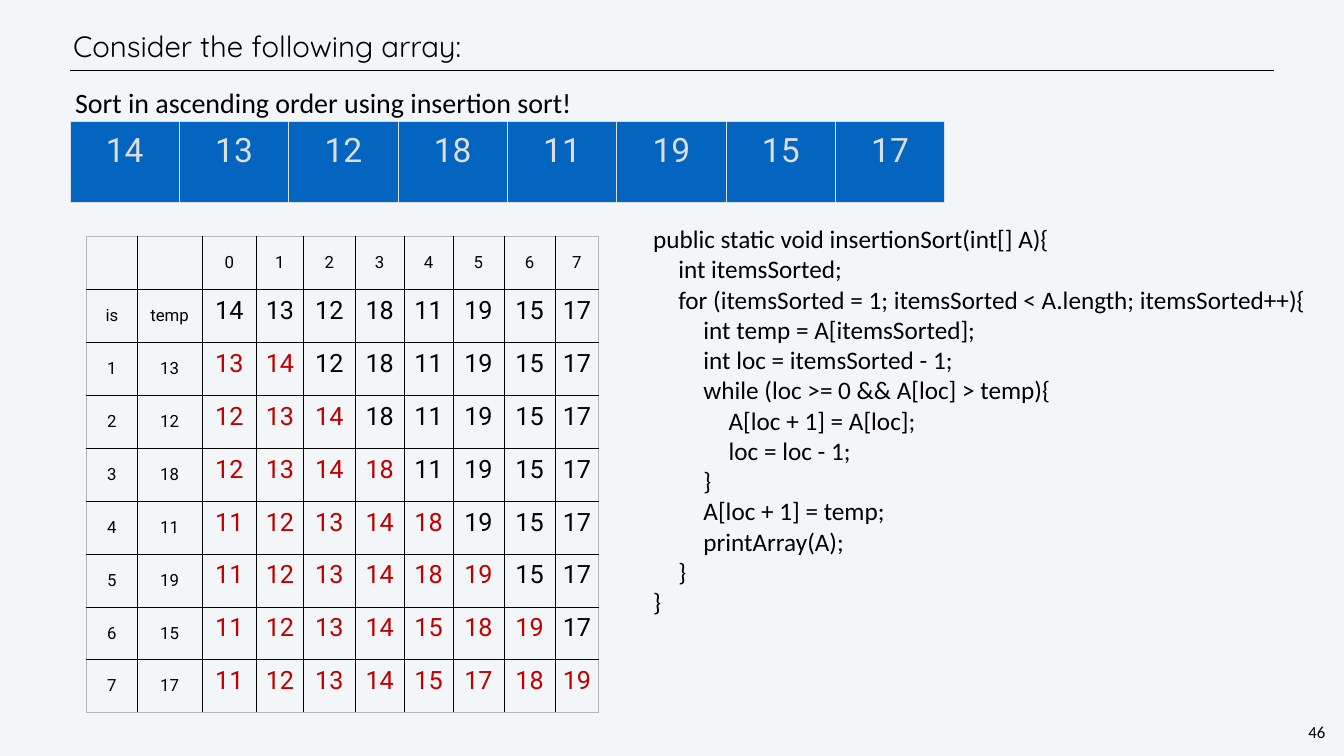
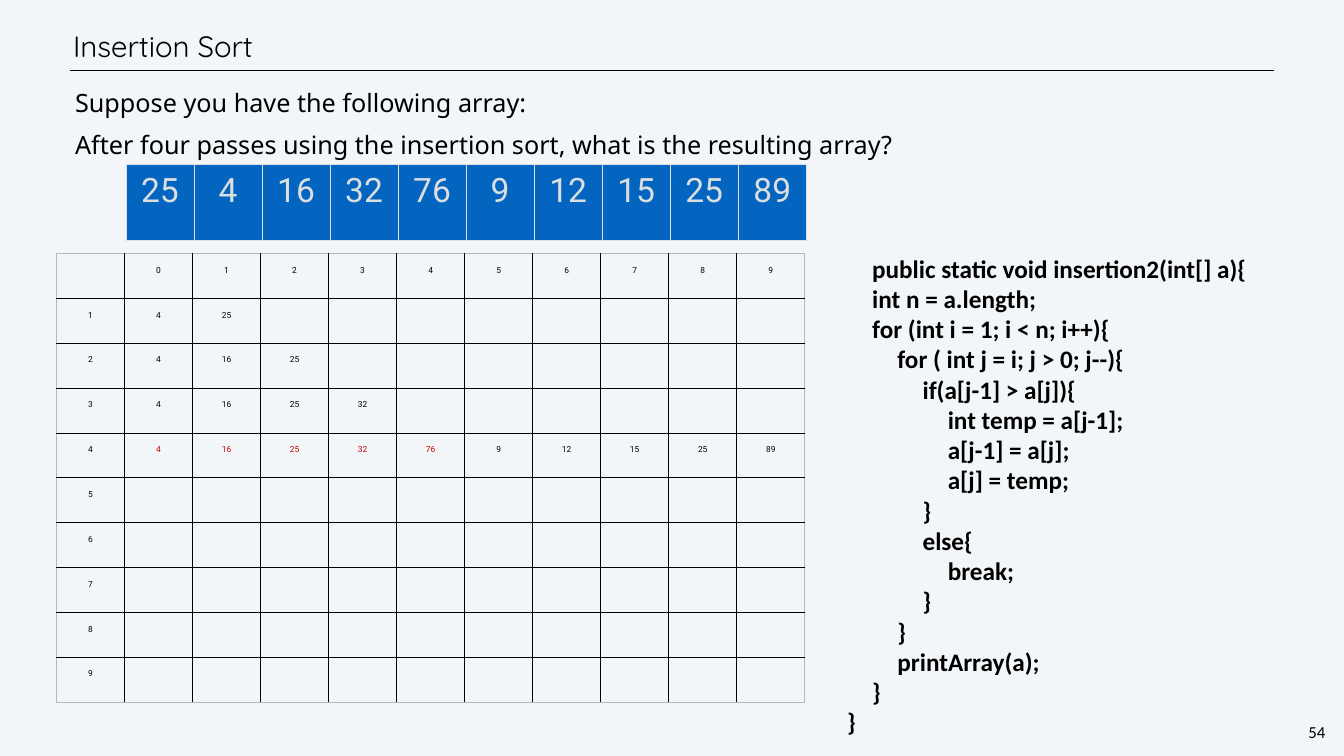
import pptx
import pptx.util
from lxml import etree
from pptx.dml.color import RGBColor
from pptx.enum.shapes import MSO_CONNECTOR
from pptx.enum.text import MSO_ANCHOR, PP_ALIGN
from pptx.oxml.ns import qn

PX = 9144  # 100 px to the inch
SLIDE_WIDTH, SLIDE_HEIGHT = 2667, 1500

BLACK = RGBColor(0x00, 0x00, 0x00)
RED = RGBColor(0xC0, 0x00, 0x00)
BLUE = RGBColor(0x03, 0x65, 0xC0)
PALE = RGBColor(0xDC, 0xDE, 0xE0)
FRAME_GRAY = RGBColor(0xB4, 0xB8, 0xBA)
BACKGROUND = RGBColor(0xF3, 0xF6, 0xF9)

TASK = "Sort in ascending order using insertion sort!"
QUESTION = [
    "Suppose you have the following array:",
    "After four passes using the insertion sort, what is the resulting array?",
]

TASK_ARRAY = [14, 13, 12, 18, 11, 19, 15, 17]
QUESTION_ARRAY = [25, 4, 16, 32, 76, 9, 12, 15, 25, 89]

# Each row: labels, values shown red, values shown black
TASK_PASSES = [
    (["", "", *range(8)], [], []),
    (["is", "temp"], [], TASK_ARRAY),
    ([1, 13], [13, 14], [12, 18, 11, 19, 15, 17]),
    ([2, 12], [12, 13, 14], [18, 11, 19, 15, 17]),
    ([3, 18], [12, 13, 14, 18], [11, 19, 15, 17]),
    ([4, 11], [11, 12, 13, 14, 18], [19, 15, 17]),
    ([5, 19], [11, 12, 13, 14, 18, 19], [15, 17]),
    ([6, 15], [11, 12, 13, 14, 15, 18, 19], [17]),
    ([7, 17], [11, 12, 13, 14, 15, 17, 18, 19], []),
]
TASK_COLUMNS = [100, 129, 108, 93, 103, 97, 97, 101, 102, 86]

QUESTION_PASSES = [
    (["", *range(10)], [], []),
    ([1], [], [4, 25]),
    ([2], [], [4, 16, 25]),
    ([3], [], [4, 16, 25, 32]),
    ([4], [4, 16, 25, 32, 76], [9, 12, 15, 25, 89]),
    *[([number], [], []) for number in range(5, 10)],
]

TASK_CODE = """\
	public static void insertionSort(int[] A){
		int itemsSorted;
		for (itemsSorted = 1; itemsSorted < A.length; itemsSorted++){
			int temp = A[itemsSorted];
			int loc = itemsSorted - 1;
			while (loc >= 0 && A[loc] > temp){
				A[loc + 1] = A[loc];
				loc = loc - 1;
			}
			A[loc + 1] = temp;
			printArray(A);
		}
	}"""

QUESTION_CODE = """\
		public static void insertion2(int[] a){
		int n = a.length;
		for (int i = 1; i < n; i++){
			for ( int j = i; j > 0; j--){
				if(a[j-1] > a[j]){
					int temp = a[j-1];
					a[j-1] = a[j];
					a[j] = temp;
				}
				else{
					break;
				}
			}
			printArray(a);
		}
	}"""


def scaled(*lengths):
    return [length * PX for length in lengths]


def write(frame, lines, size, font="Calibri", color=BLACK, bold=False,
          align=PP_ALIGN.LEFT, spacing=None, before=0, tab=None):
    """Fill a text frame, one paragraph a line; tab is the step of the tab stops in px."""
    for index, line in enumerate(lines):
        paragraph = frame.paragraphs[0] if index == 0 else frame.add_paragraph()
        paragraph.alignment = align
        if spacing:
            paragraph.line_spacing = pptx.util.Pt(spacing)
        if before and index:
            paragraph.space_before = pptx.util.Pt(before)
        if tab:
            stops = etree.SubElement(paragraph._p.get_or_add_pPr(), qn("a:tabLst"))
            for step in range(1, 7):
                etree.SubElement(stops, qn("a:tab"), pos=str(step * tab * PX), algn="l")
        run = paragraph.add_run()
        run.text = line
        run.font.size = pptx.util.Pt(size)
        run.font.name = font
        run.font.bold = bold
        run.font.color.rgb = color


def add_text(slide, box, lines, size, margins=(6, 6), anchor=MSO_ANCHOR.TOP,
             wrap=True, **text_format):
    """Add a text box; margins are (left and right, top and bottom)."""
    frame = slide.shapes.add_textbox(*scaled(*box)).text_frame
    frame.word_wrap = wrap
    frame.vertical_anchor = anchor
    frame.margin_left = frame.margin_right = margins[0] * PX
    frame.margin_top = frame.margin_bottom = margins[1] * PX
    write(frame, lines, size, **text_format)


def set_borders(cell, colors):
    """Draw the left, right, top and bottom borders in the given colours."""
    properties = cell._tc.get_or_add_tcPr()
    for index, (side, color) in enumerate(zip("LRTB", colors)):
        line = etree.Element(qn("a:ln" + side), w="12700")
        fill = etree.SubElement(line, qn("a:solidFill"))
        etree.SubElement(fill, qn("a:srgbClr"), val=str(color))
        properties.insert(index, line)


def add_grid(slide, left, top, columns, row_height, rows, inner, outer,
             fill=None, margins=(10, 5)):
    """Add a table; a cell is None or (text, size, colour, bottom margin)."""
    height = row_height * len(rows)
    table = slide.shapes.add_table(
        len(rows), len(columns), *scaled(left, top, sum(columns), height)).table
    table.first_row = table.horz_banding = False
    for column, width in zip(table.columns, columns):
        column.width = width * PX
    for row_index, row in enumerate(rows):
        table.rows[row_index].height = row_height * PX
        for column_index, content in enumerate(row):
            cell = table.cell(row_index, column_index)
            if fill is None:
                cell.fill.background()
            else:
                cell.fill.solid()
                cell.fill.fore_color.rgb = fill
            at_edges = (column_index == 0, column_index == len(columns) - 1,
                        row_index == 0, row_index == len(rows) - 1)
            set_borders(cell, [outer if at_edge else inner for at_edge in at_edges])
            cell.vertical_anchor = MSO_ANCHOR.MIDDLE
            cell.margin_left = cell.margin_right = margins[0] * PX
            cell.margin_top = margins[1] * PX
            if content:
                text, size, color, bottom = content
                cell.margin_bottom = bottom * PX
                write(cell.text_frame, [text], size, font="Roboto", color=color,
                      align=PP_ALIGN.CENTER)


def add_array(slide, left, top, column_width, height, values):
    row = [(str(value), 48, PALE, 54) for value in values]
    add_grid(slide, left, top, [column_width] * len(values), height, [row],
             PALE, PALE, fill=BLUE, margins=(20, 10))


def add_passes(slide, left, top, columns, row_height, passes, label_style, value_style):
    """Add the trace of the sort; a style is (text size, bottom margin)."""
    rows = []
    for labels, red_values, black_values in passes:
        row = []
        for values, (size, bottom), color in ((labels, label_style, BLACK),
                                              (red_values, value_style, RED),
                                              (black_values, value_style, BLACK)):
            row += [None if value == "" else (str(value), size, color, bottom)
                    for value in values]
        rows.append(row + [None] * (len(columns) - len(row)))
    add_grid(slide, left, top, columns, row_height, rows, BLACK, FRAME_GRAY)


def add_code(slide, box, code, **text_format):
    add_text(slide, box, code.split("\n"), 36, tab=50, **text_format)


def add_slide(presentation, title, number):
    """Add a slide with the shared background, title, rule and page number."""
    slide = presentation.slides.add_slide(presentation.slide_layouts[6])
    slide.background.fill.solid()
    slide.background.fill.fore_color.rgb = BACKGROUND
    rule = slide.shapes.add_connector(MSO_CONNECTOR.STRAIGHT, *scaled(139, 140, 2528, 140))
    rule.line.color.rgb = BLACK
    rule.line.width = pptx.util.Pt(1)
    etree.SubElement(rule._element.spPr, qn("a:effectLst"))
    add_text(slide, (139, 42, 2262, 99), [title], 42, font="Quicksand",
             anchor=MSO_ANCHOR.MIDDLE, spacing=50)
    add_text(slide, (2592, 1429, 42, 48), [str(number)], 24, margins=(4, 4),
             wrap=False, align=PP_ALIGN.CENTER, spacing=28)
    return slide


def main():
    presentation = pptx.Presentation()
    presentation.slide_width, presentation.slide_height = scaled(SLIDE_WIDTH, SLIDE_HEIGHT)

    slide = add_slide(presentation, "Consider the following array:", 46)
    add_text(slide, (139, 165, 1461, 77), [TASK], 40, margins=(10, 5))
    add_code(slide, (1240, 434, 1386, 799), TASK_CODE, anchor=MSO_ANCHOR.MIDDLE)
    add_passes(slide, 172, 469, TASK_COLUMNS, 105, TASK_PASSES, (24, 5), (36, 25))
    add_array(slide, 139, 240, 217, 162, TASK_ARRAY)

    slide = add_slide(presentation, "Insertion Sort", 54)
    add_text(slide, (143, 167, 2382, 1267), QUESTION, 36, font="Noto Sans",
             spacing=43, before=18)
    add_array(slide, 250, 326, 135, 151, QUESTION_ARRAY)
    add_code(slide, (1621, 497, 993, 979), QUESTION_CODE, bold=True, margins=(10, 5))
    add_passes(slide, 112, 503, [135] * 11, 89, QUESTION_PASSES, (12, 27), (12, 27))

    presentation.save("out.pptx")


if __name__ == "__main__":
    main()
